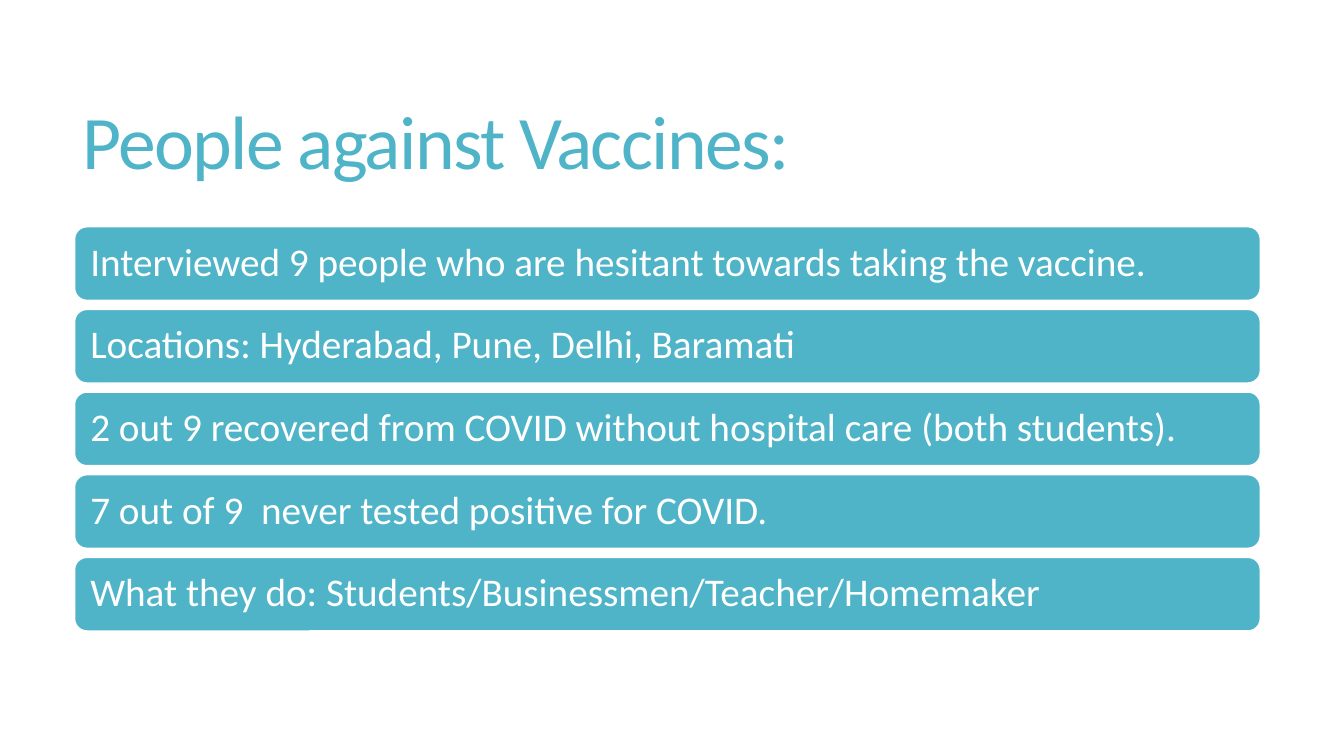
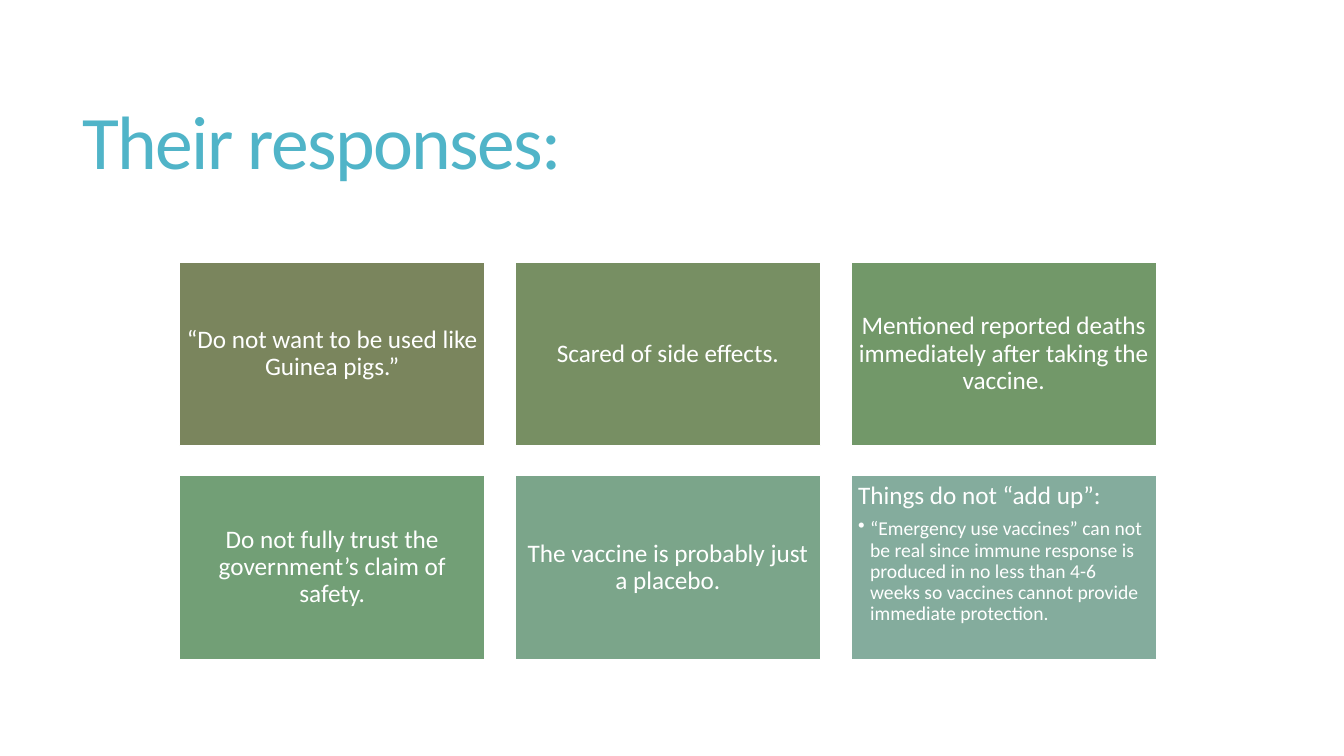
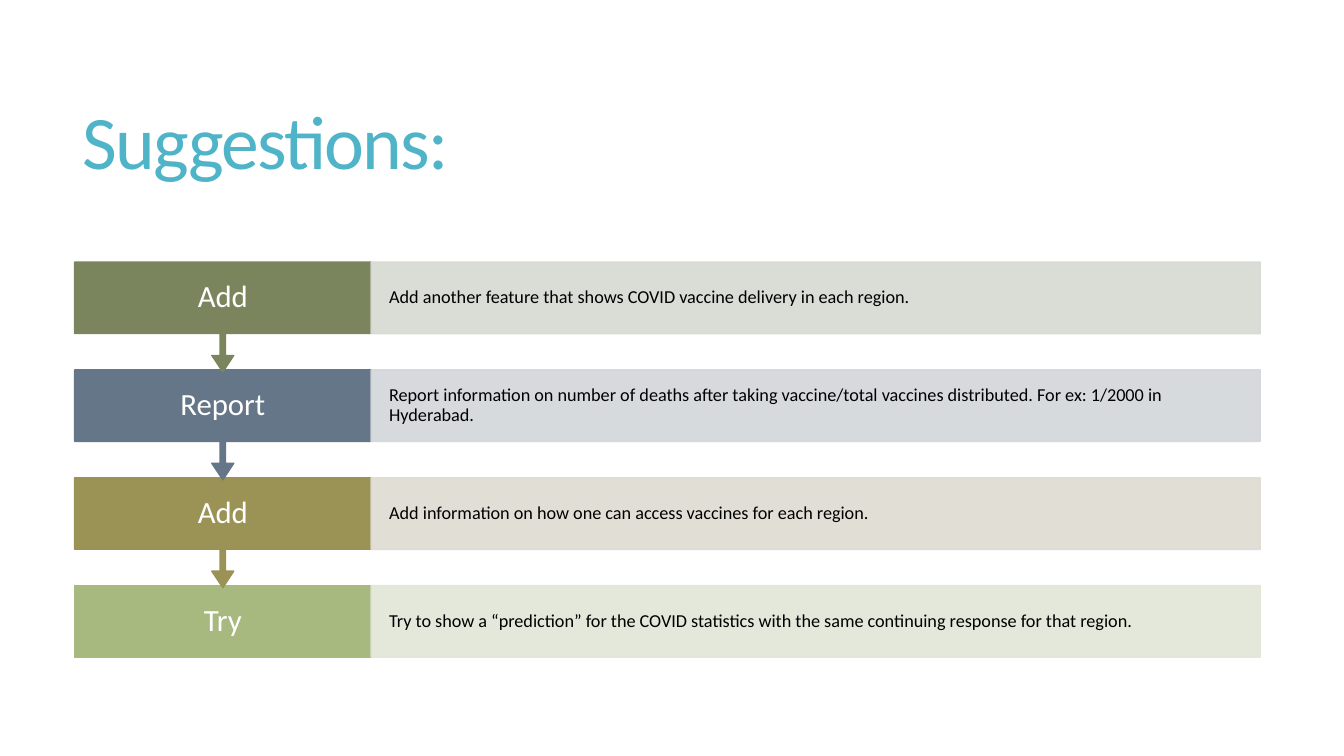
"""Build three slides on vaccine hesitancy: interviewees, responses and suggestions."""
from pptx import Presentation
from pptx.dml.color import RGBColor
from pptx.enum.shapes import MSO_SHAPE
from pptx.enum.text import MSO_ANCHOR, MSO_AUTO_SIZE, PP_ALIGN
from pptx.oxml.ns import qn
from pptx.util import Inches, Pt
from lxml.etree import SubElement

COLORS = {
    "accent": "50B4C8", "white": "FFFFFF", "black": "000000",
    "moss": "7A855D", "olive": "778F63", "leaf": "729869",
    "fern": "729F76", "sage": "7BA58A", "mist": "84AC9D",
    "slate": "657689", "ochre": "9B9256", "lime": "A8B97F",
    "pale moss": "D7D9D2", "pale slate": "D3D6DA",
    "pale ochre": "DEDCD1", "pale lime": "E1E6D8",
}
FONT = "Calibri"
LEFT, WIDTH = 0.74, 11.76

prs = Presentation()
prs.slide_width, prs.slide_height = Inches(13.33), Inches(7.5)


def write(tf, text, size, color, spacing=0.9, align=PP_ALIGN.LEFT, inset=(0.1, 0.05), first=True):
    """Format the frame and write one paragraph into it."""
    x, y = (Inches(v) for v in inset)
    frame = {"word_wrap": True, "auto_size": MSO_AUTO_SIZE.NONE,
             "vertical_anchor": MSO_ANCHOR.MIDDLE, "margin_left": x,
             "margin_right": x, "margin_top": y, "margin_bottom": y}
    for name, value in frame.items():
        setattr(tf, name, value)
    p = tf.paragraphs[0] if first else tf.add_paragraph()
    p.line_spacing, p.alignment = spacing, align
    r = p.add_run()
    r.text = text
    for name, value in {"name": FONT, "size": Pt(size)}.items():
        setattr(r.font, name, value)
    r.font.color.rgb = RGBColor.from_string(COLORS[color])
    return p


def box(s, kind, x, y, w, h, fill, line):
    """Add a filled, outlined shape without shadow."""
    sp = s.shapes.add_shape(kind, *(Inches(v) for v in (x, y, w, h)))
    sp.shadow.inherit = False
    sp.fill.solid()
    sp.fill.fore_color.rgb = RGBColor.from_string(COLORS[fill])
    sp.line.color.rgb = RGBColor.from_string(COLORS[line])
    sp.line.width = Pt(1)
    return sp


slides = []
for title in ("People against Vaccines:", "Their responses:", "Suggestions:"):
    s = prs.slides.add_slide(prs.slide_layouts[5])
    sp = s.shapes.title
    for name, value in {"left": 0.72, "top": 0.55, "width": 11.78, "height": 1.81}.items():
        setattr(sp, name, Inches(value))
    p = write(sp.text_frame, title, 54, "accent", spacing=0.85)
    p.runs[0].font._element.set("spc", "-120")
    slides.append(s)
people, responses, suggestions = slides

facts = [
    "Interviewed 9 people who are hesitant towards taking the vaccine.",
    "Locations: Hyderabad, Pune, Delhi, Baramati",
    "2 out 9 recovered from COVID without hospital care (both students).",
    "7 out of 9  never tested positive for COVID.",
    "What they do: Students/Businessmen/Teacher/Homemaker",
]
top, row_h, gap = 2.25, 0.73, 0.09
for row, fact in enumerate(facts):
    sp = box(people, MSO_SHAPE.ROUNDED_RECTANGLE, LEFT, top + row * (row_h + gap),
             WIDTH, row_h, "accent", "white")
    write(sp.text_frame, fact, 28, "white", inset=(0.12, 0.08))

quotes = [
    ("moss", "“Do not want to be used like Guinea pigs.”"),
    ("olive", "Scared of side effects."),
    ("leaf", "Mentioned reported deaths immediately after taking the vaccine."),
    ("fern", "Do not fully trust the government’s claim of safety."),
    ("sage", "The vaccine is probably just a placebo."),
    ("mist", "Things do not “add up”:"),
]
detail = ("“Emergency use vaccines” can not be real since immune response is produced in "
          "no less than 4-6 weeks so vaccines cannot provide immediate protection.")
col_w, row_h, gap, inset = 3.03, 1.82, 0.3, (0.07, 0.07)
for i, (fill, quote) in enumerate(quotes):
    row, col = divmod(i, 3)
    sp = box(responses, MSO_SHAPE.RECTANGLE, 1.78 + col * (col_w + gap),
             2.6 + row * (row_h + gap), col_w, row_h, fill, "white")
    p = write(sp.text_frame, quote, 18, "white", align=PP_ALIGN.CENTER, inset=inset)

p.alignment, p.space_after = PP_ALIGN.LEFT, Pt(6.3)
p = write(sp.text_frame, detail, 14, "white", inset=inset, first=False)
p.level = 1
sp.text_frame.vertical_anchor = MSO_ANCHOR.TOP
pPr = p._p.get_or_add_pPr()
pPr.set("marL", str(Inches(0.12)))
pPr.set("indent", str(Inches(-0.12)))
SubElement(pPr, qn("a:buChar")).set("char", "•")

steps = [
    ("Add", "moss", "Add another feature that shows COVID vaccine delivery in each region."),
    ("Report", "slate", "Report information on number of deaths after taking vaccine/total vaccines "
     "distributed. For ex: 1/2000 in Hyderabad."),
    ("Add", "ochre", "Add information on how one can access vaccines for each region."),
    ("Try", "lime", "Try to show a “prediction” for the COVID statistics with the same continuing "
     "response for that region."),
]
top, row_h, callout_h, pitch = 2.6, 0.71, 1.09, 1.07
label_w = WIDTH / 4
for row, (label, fill, advice) in reversed(list(enumerate(steps))):
    y = top + row * pitch
    last = row == len(steps) - 1
    kind = MSO_SHAPE.RECTANGLE if last else MSO_SHAPE.DOWN_ARROW_CALLOUT
    sp = box(suggestions, kind, LEFT, y, label_w, row_h if last else callout_h, fill, fill)
    if not last:
        for i, value in enumerate((0.05, 0.1, 0.15, 0.65)):
            sp.adjustments[i] = value
    write(sp.text_frame, label, 22, "white", align=PP_ALIGN.CENTER, inset=(0.21, 0.17))
    pale = "pale " + fill
    sp = box(suggestions, MSO_SHAPE.RECTANGLE, LEFT + label_w, y, WIDTH - label_w, row_h, pale, pale)
    for clr in sp._element.spPr.iter(qn("a:srgbClr")):
        SubElement(clr, qn("a:alpha")).set("val", "90000")
    write(sp.text_frame, advice, 13, "black", inset=(0.18, 0.18))

prs.save("out.pptx")
